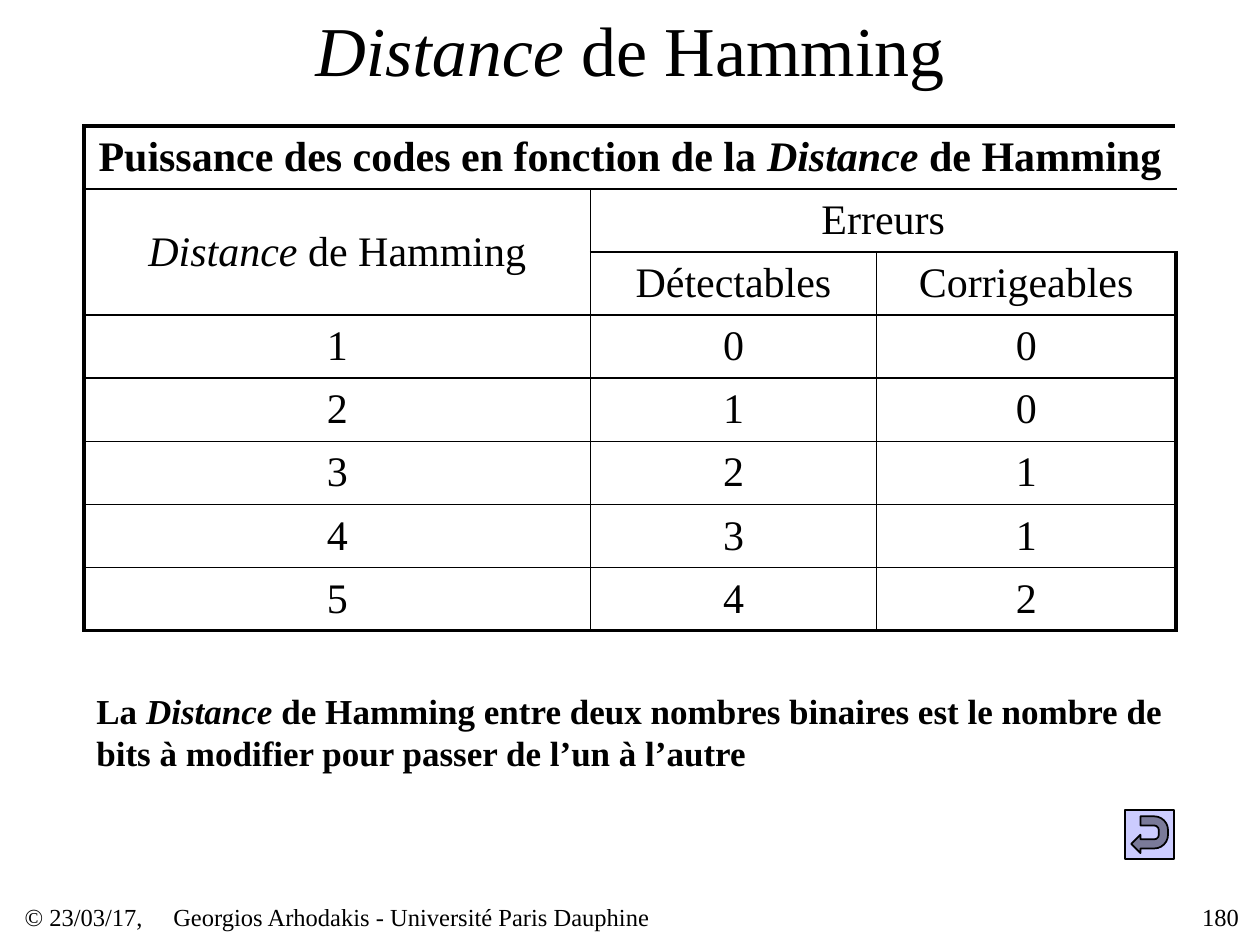
from dataclasses import dataclass

from lxml.etree import SubElement
from pptx import Presentation
from pptx.dml.color import RGBColor
from pptx.enum.shapes import MSO_SHAPE
from pptx.enum.text import MSO_ANCHOR, PP_ALIGN
from pptx.oxml.ns import qn
from pptx.util import Pt


@dataclass(frozen=True)
class Theme:
    font: str = "Times New Roman"
    ink: str = "000000"
    paper: str = "FFFFFF"
    button: str = "CCCCFF"
    title: float = 40
    table: float = 24
    body: float = 20
    footer: float = 14
    thin: float = 1
    thick: float = 2.25


THEME = Theme()
HEADINGS = [
    # row, column, rows spanned, columns spanned, text, bold
    (0, 0, 1, 3, "Puissance des codes en fonction de la *Distance* de Hamming", True),
    (1, 0, 2, 1, "*Distance* de Hamming", False),
    (1, 1, 1, 2, "Erreurs", False),
    (2, 1, 1, 1, "Détectables", False),
    (2, 2, 1, 1, "Corrigeables", False),
]
# Distance, detectable errors, correctable errors
POWERS = [(1, 0, 0), (2, 1, 0), (3, 2, 1), (4, 3, 1), (5, 4, 2)]


def write(frame, text, size, bold=False, align=PP_ALIGN.LEFT):
    """Fill a text frame; words between asterisks become italic."""
    frame.word_wrap = True
    paragraph = frame.paragraphs[0]
    paragraph.alignment = align
    for index, part in enumerate(text.split("*")):
        if part:
            run = paragraph.add_run()
            run.text = part
            run.font.name = THEME.font
            run.font.size = Pt(size)
            run.font.bold = bold
            run.font.italic = index % 2 == 1
            run.font.color.rgb = RGBColor.from_string(THEME.ink)


def add_text(slide, box, text, size, inset=True, **text_format):
    frame = slide.shapes.add_textbox(*map(Pt, box)).text_frame
    frame.vertical_anchor = MSO_ANCHOR.MIDDLE
    if not inset:
        frame.margin_left = frame.margin_right = 0
        frame.margin_top = frame.margin_bottom = 0
    write(frame, text, size, **text_format)


def draw_edge(cell, side, width):
    line = SubElement(cell._tc.get_or_add_tcPr(), qn(f"a:ln{side}"), w=str(Pt(width)))
    fill = SubElement(line, qn("a:solidFill"))
    SubElement(fill, qn("a:srgbClr"), val=THEME.ink)


def add_power_table(slide, box):
    left, top, width, height = box
    cells = HEADINGS + [
        (row, column, 1, 1, str(value), False)
        for row, values in enumerate(POWERS, start=3)
        for column, value in enumerate(values)
    ]
    row_count, column_count = 3 + len(POWERS), 3
    table = slide.shapes.add_table(row_count, column_count, *map(Pt, box)).table
    table.first_row = table.horz_banding = False
    distance, detectable = 289.5, 163.5
    widths = (distance, detectable, width - distance - detectable)
    for column, column_width in zip(table.columns, widths):
        column.width = Pt(column_width)
    for row in table.rows:
        row.height = Pt(height / row_count)

    for row, column, rows, columns, text, bold in cells:
        bottom, right = row + rows - 1, column + columns - 1
        heading = table.cell(row, column)
        if rows * columns > 1:
            heading.merge(table.cell(bottom, right))
        write(heading.text_frame, text, THEME.table, bold=bold, align=PP_ALIGN.CENTER)
        # Draw only the outer edges of a span, thicker around the table
        for r in range(row, bottom + 1):
            for c in range(column, right + 1):
                cell = table.cell(r, c)
                cell.vertical_anchor = MSO_ANCHOR.MIDDLE
                edges = [
                    ("L", c == column, c == 0),
                    ("R", c == right, c == column_count - 1),
                    ("T", r == row, r == 0),
                    ("B", r == bottom, r == row_count - 1),
                ]
                for side, visible, outer in edges:
                    if visible:
                        draw_edge(cell, side, THEME.thick if outer else THEME.thin)
                cell.fill.solid()
                cell.fill.fore_color.rgb = RGBColor.from_string(THEME.paper)


def add_return_button(slide, box):
    button = slide.shapes.add_shape(MSO_SHAPE.ACTION_BUTTON_RETURN, *map(Pt, box))
    button.shadow.inherit = False
    button.rotation = 270
    button._element.spPr.find(qn("a:xfrm")).set("flipH", "1")
    button.fill.solid()
    button.fill.fore_color.rgb = RGBColor.from_string(THEME.button)
    button.line.color.rgb = RGBColor.from_string(THEME.ink)
    button.line.width = Pt(THEME.thin)


def add_footer(slide, box):
    left, top, width, height = box
    date_width, number_width = 85, 70
    parts = [
        (0, date_width, "© 23/03/17,", PP_ALIGN.LEFT),
        (date_width, 425, "Georgios Arhodakis - Université Paris Dauphine", PP_ALIGN.LEFT),
        (width - number_width, number_width, "180", PP_ALIGN.RIGHT),
    ]
    for offset, part_width, text, align in parts:
        add_text(slide, (left + offset, top, part_width, height), text,
                 THEME.footer, inset=False, align=align)


def main():
    deck = Presentation()
    deck.slide_width, deck.slide_height = Pt(720), Pt(540)
    slide = deck.slides.add_slide(deck.slide_layouts[6])

    # Title
    add_text(slide, (54, 0, 612, 55.5), "*Distance* de Hamming", THEME.title,
             align=PP_ALIGN.CENTER)
    # Power of the codes
    add_power_table(slide, (48, 72, 624, 288))
    # Definition
    add_text(slide, (48, 390, 624, 55.5),
             "La *Distance* de Hamming entre deux nombres binaires est le nombre de "
             "bits à modifier pour passer de l’un à l’autre", THEME.body, bold=True)
    # Navigation and footer
    add_return_button(slide, (643, 463, 28, 28))
    add_footer(slide, (14, 515.5, 694, 17))

    deck.save("out.pptx")


if __name__ == "__main__":
    main()
